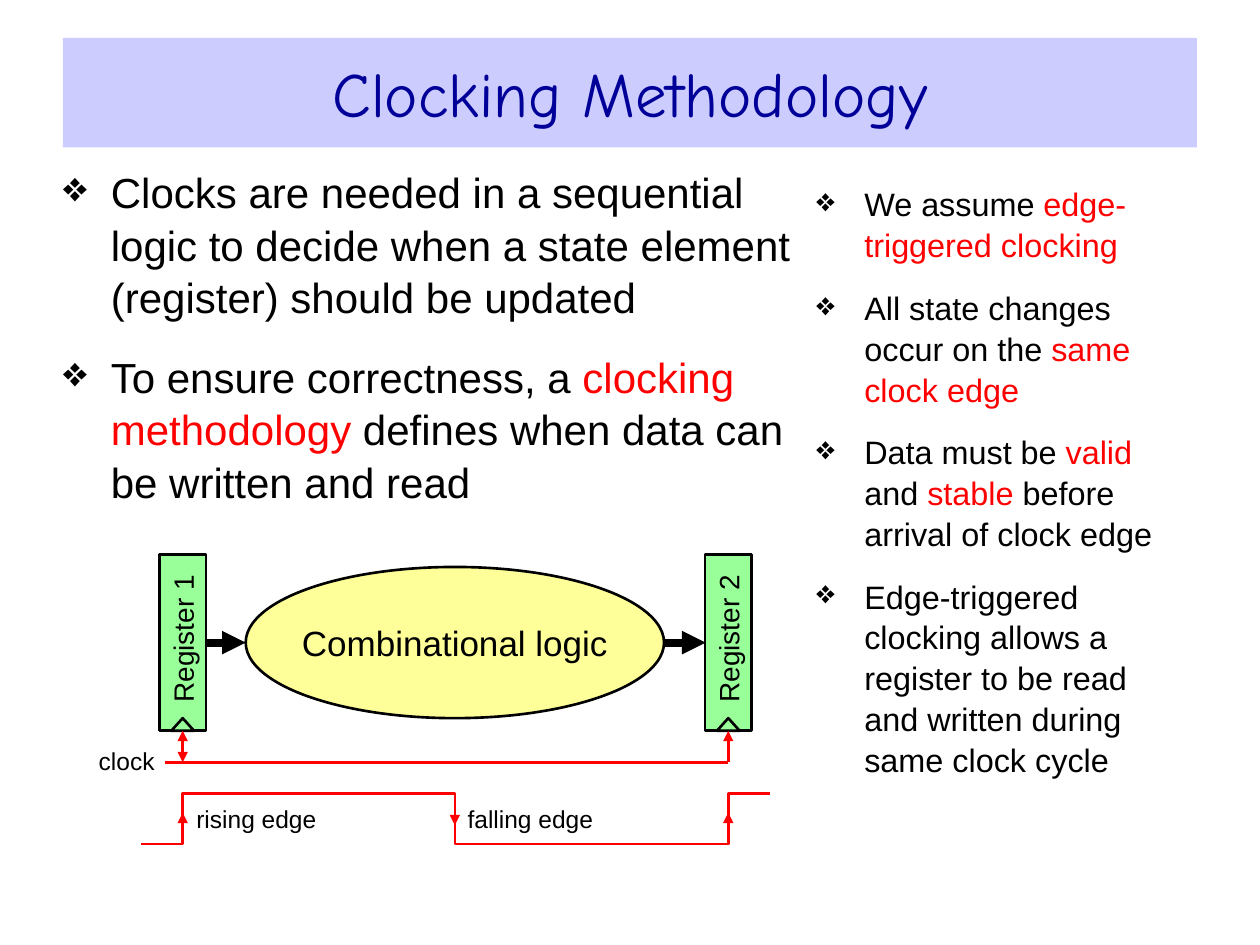
from dataclasses import dataclass

import pptx
import pptx.dml.color
import pptx.enum.shapes
import pptx.enum.text
import pptx.oxml
import pptx.oxml.ns
import pptx.util
from pptx.util import Inches

COLORS = {
    "black": "000000", "red": "FF0000", "navy": "000099",
    "lavender": "CCCCFF", "yellow": "FFFF99", "green": "99FF99",
}
SHAPES = pptx.enum.shapes.MSO_SHAPE
ALIGN = pptx.enum.text.PP_ALIGN
ANCHOR = pptx.enum.text.MSO_ANCHOR

REG_X = (1.45, 5.78)  # centre lines of the two registers
FALL_X = 3.61         # falling edge, halfway between them
FLOW_Y = 5.1          # centre line of the data path
CLOCK_Y = 6.05
HIGH_Y, LOW_Y = 6.3, 6.7


@dataclass
class Box:
    x: float
    y: float
    w: float
    h: float


@dataclass
class BulletList:
    box: Box
    size: float
    space: float
    items: list  # each item alternates black and red pieces


@dataclass
class Label:
    text: str
    box: Box
    size: float = 14


@dataclass
class Line:
    x1: float
    y1: float
    x2: float
    y2: float
    color: str = "red"
    width: float = 1.5
    start: bool = False
    end: bool = True


def rgb(name: str):
    return pptx.dml.color.RGBColor.from_string(COLORS[name])


def add_xml(parent, tag: str, **attrs):
    el = pptx.oxml.parse_xml(f"<a:{tag} {pptx.oxml.ns.nsdecls('a')}/>")
    for key, value in attrs.items():
        el.set(key, value)
    parent.append(el)
    return el


def set_font(font, size: float, color: str = "black", name: str = "Arial") -> None:
    font.name, font.size = name, pptx.util.Pt(size)
    font.color.rgb = rgb(color)


def setup_frame(tf, inset_x: float = 0, inset_y: float = 0, anchor=ANCHOR.MIDDLE) -> None:
    tf.word_wrap = True
    tf.vertical_anchor = anchor
    tf.margin_left = tf.margin_right = Inches(inset_x)
    tf.margin_top = tf.margin_bottom = Inches(inset_y)


def write_line(sp, text: str, size: float, color: str = "black", name: str = "Arial") -> None:
    setup_frame(sp.text_frame)
    p = sp.text_frame.paragraphs[0]
    p.text, p.alignment = text, ALIGN.CENTER
    set_font(p.font, size, color, name)


def add_box(s, kind, box: Box, fill: str, outline: bool = True):
    sp = s.shapes.add_shape(kind, *map(Inches, (box.x, box.y, box.w, box.h)))
    sp.shadow.inherit = False
    sp.fill.solid()
    sp.fill.fore_color.rgb = rgb(fill)
    if outline:
        sp.line.color.rgb = rgb("black")
        sp.line.width = pptx.util.Pt(1.5)
    else:
        sp.line.fill.background()
    return sp


def add_textbox(s, box: Box):
    return s.shapes.add_textbox(*map(Inches, (box.x, box.y, box.w, box.h)))


def add_label(s, label: Label) -> None:
    write_line(add_textbox(s, label.box), label.text, label.size)


def add_bullets(s, bullets: BulletList) -> None:
    tf = add_textbox(s, bullets.box).text_frame
    setup_frame(tf, 0, 0.05, ANCHOR.TOP)
    for i, pieces in enumerate(bullets.items):
        p = tf.add_paragraph() if i else tf.paragraphs[0]
        pPr = p._p.get_or_add_pPr()
        pPr.set("marL", str(Inches(0.38)))
        pPr.set("indent", str(-Inches(0.38)))
        add_xml(add_xml(pPr, "buClr"), "srgbClr", val=COLORS["black"])
        add_xml(pPr, "buChar", char="❖")
        p.line_spacing = 1.05
        if i:
            p.space_before = pptx.util.Pt(bullets.space)
        set_font(p.font, bullets.size)
        for j, piece in enumerate(pieces):
            r = p.add_run()
            r.text = piece
            if j % 2:
                r.font.color.rgb = rgb("red")


def add_line(s, line: Line) -> None:
    cx = s.shapes.add_connector(
        pptx.enum.shapes.MSO_CONNECTOR.STRAIGHT,
        *map(Inches, (line.x1, line.y1, line.x2, line.y2)))
    cx.line.color.rgb = rgb(line.color)
    cx.line.width = pptx.util.Pt(line.width)
    ln = cx.line._get_or_add_ln()
    for tag, shown in (("headEnd", line.start), ("tailEnd", line.end)):
        if shown:
            add_xml(ln, tag, type="triangle")
    add_xml(cx._element.spPr, "effectLst")


def add_register(s, name: str, x: float) -> None:
    w, h = 1.4, 0.37
    sp = add_box(s, SHAPES.RECTANGLE, Box(x - w / 2, FLOW_Y - h / 2, w, h), "green")
    sp.rotation = 270
    write_line(sp, name, 16)
    sp.text_frame.margin_left = Inches(0.06)
    # Clock input mark
    add_box(s, SHAPES.ISOSCELES_TRIANGLE, Box(x - 0.09, 5.7, 0.18, 0.1), "green")


def add_waveform(s) -> None:
    points = [(1.12, LOW_Y)]
    level = LOW_Y
    for x in (REG_X[0], FALL_X, REG_X[1]):
        points.append((x, level))
        level = HIGH_Y if level == LOW_Y else LOW_Y
        points.append((x, level))
    points.append((6.11, level))
    points = [(Inches(x), Inches(y)) for x, y in points]
    builder = s.shapes.build_freeform(*points[0])
    builder.add_line_segments(points[1:], close=False)
    sp = builder.convert_to_shape()
    sp.shadow.inherit = False
    sp.fill.background()
    sp.line.color.rgb = rgb("red")
    sp.line.width = pptx.util.Pt(1.5)


BULLETS = [
    BulletList(Box(0.5, 1.25, 5.78, 2.89), 24, 15, [
        ["Clocks are needed in a sequential logic to decide when a state element "
         "(register) should be updated"],
        ["To ensure correctness, a ", "clocking methodology",
         " defines when data can be written and read"]]),
    BulletList(Box(6.48, 1.4, 2.68, 5), 18.5, 12.5, [
        ["We assume ", "edge-triggered clocking"],
        ["All state changes occur on the ", "same clock edge"],
        ["Data must be ", "valid", " and ", "stable", " before arrival of clock edge"],
        ["Edge-triggered clocking allows a register to be read and written during "
         "same clock cycle"]]),
]
LINES = [
    # Data path
    Line(1.63, FLOW_Y, 1.95, FLOW_Y, "black", 4.5),
    Line(5.28, FLOW_Y, 5.6, FLOW_Y, "black", 4.5),
    # Clock distribution
    Line(REG_X[0], CLOCK_Y, REG_X[0], 5.8, start=True),
    Line(REG_X[1], CLOCK_Y, REG_X[1], 5.8),
    Line(REG_X[1], CLOCK_Y, 1.31, CLOCK_Y, end=False),
    # Edge directions
    *[Line(x, 6.55, x, 6.45, width=1) for x in REG_X],
    Line(FALL_X, 6.45, FALL_X, 6.55, width=1),
]
LABELS = [
    Label("clock", Box(0.71, 5.87, 0.59, 0.33)),
    Label("rising edge", Box(1.55, 6.35, 0.97, 0.3)),
    Label("falling edge", Box(3.66, 6.35, 1.1, 0.3)),
]


def main() -> None:
    prs = pptx.Presentation()
    prs.slide_width, prs.slide_height = Inches(10), Inches(7.5)
    s = prs.slides.add_slide(prs.slide_layouts[6])

    # Title and text columns
    title = add_box(s, SHAPES.RECTANGLE, Box(0.5, 0.3, 9, 0.87), "lavender", outline=False)
    write_line(title, "Clocking Methodology", 36, "navy", "Comic Neue")
    for bullets in BULLETS:
        add_bullets(s, bullets)

    # Circuit and clock signal
    logic = Box(1.95, 4.5, 3.32, 1.2)
    add_box(s, SHAPES.OVAL, logic, "yellow")
    add_label(s, Label("Combinational logic", logic, 20))
    for i, x in enumerate(REG_X, 1):
        add_register(s, f"Register {i}", x)
    add_waveform(s)
    for line in LINES:
        add_line(s, line)
    for label in LABELS:
        add_label(s, label)

    prs.save("out.pptx")


if __name__ == "__main__":
    main()
